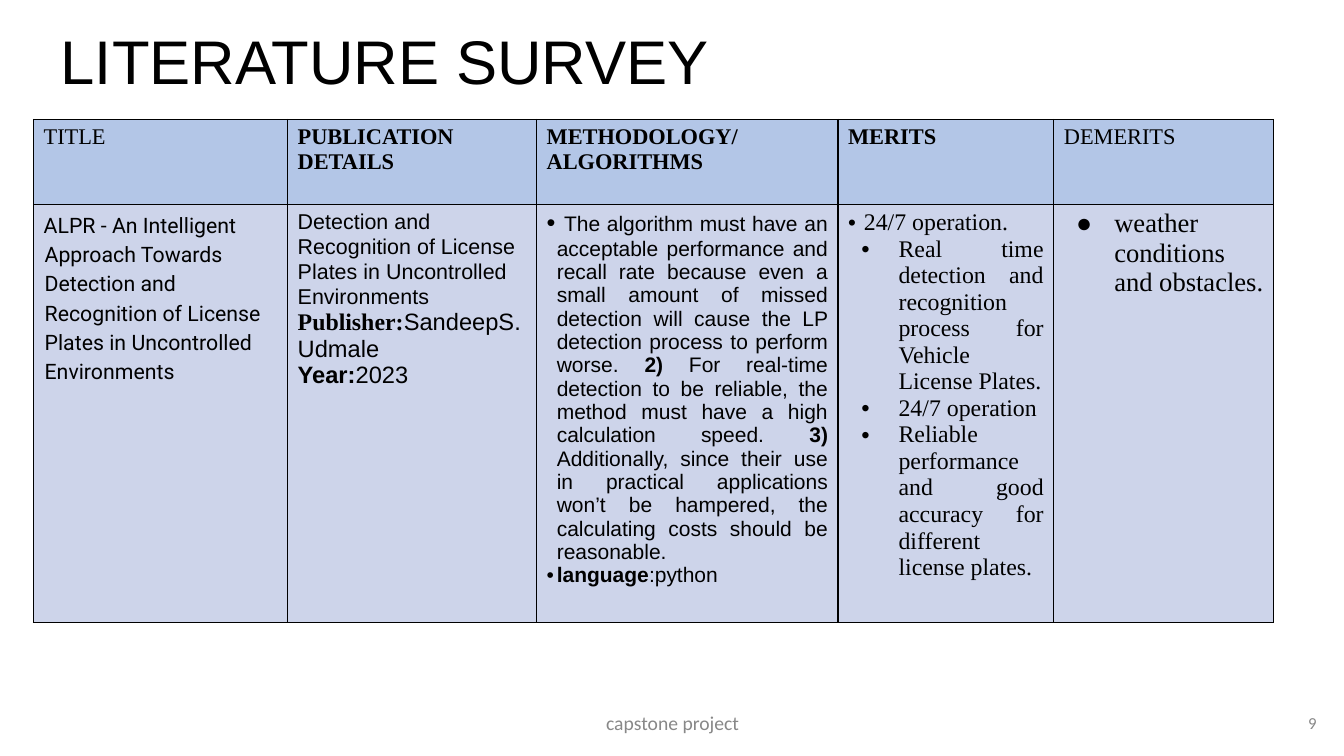
from lxml import etree
from pptx import Presentation, util as u
from pptx.dml.color import RGBColor
from pptx.enum import text as t
from pptx.oxml import ns

WIDTH, HEIGHT = u.Inches(13.33), u.Inches(7.5)
BLACK = RGBColor(0x00, 0x00, 0x00)
GREY = RGBColor(0x88, 0x88, 0x88)
HEADER_BLUE = RGBColor(0xB3, 0xC6, 0xE7)
BODY_BLUE = RGBColor(0xCD, 0xD4, 0xEA)
SERIF, SANS = "Times New Roman", "Arial"
LEFT, CENTER, RIGHT = t.PP_ALIGN.LEFT, t.PP_ALIGN.CENTER, t.PP_ALIGN.RIGHT
JUSTIFY = t.PP_ALIGN.JUSTIFY

COLUMN_INCHES = (2.52, 2.47, 2.99, 2.14, 2.18)
ROW_INCHES = (0.84, 4.15)

# Each header is (lines, bold).
HEADERS = (
    (("TITLE",), False),
    (("PUBLICATION DETAILS",), True),
    (("METHODOLOGY/", "ALGORITHMS"), True),
    (("MERITS",), True),
    (("DEMERITS",), False),
)


def run(words, size, font, bold=False):
    return words, size, font, bold


def line(*runs, align=LEFT, spacing=None, indent=None, bullet=None):
    """Describe one paragraph; indent is (margin, first line) in inches."""
    return {"runs": runs, "align": align, "spacing": spacing,
            "indent": indent, "bullet": bullet}


def bulleted(*runs, indent, bullet="•"):
    return line(*runs, align=JUSTIFY, indent=indent, bullet=bullet)


def body_cells():
    survey_title = [line(
        run("ALPR - An Intelligent Approach Towards Detection and Recognition "
            "of License Plates in Uncontrolled Environments", 15.2, "Roboto"),
        spacing=1.17, indent=(0.01, -0.01))]
    publication = [
        line(run("Detection and Recognition of License Plates in "
                 "Uncontrolled Environments", 15.3, SANS), spacing=1.04),
        line(run("Publisher:", 17, SERIF, True),
             run("SandeepS. Udmale", 16.9, SANS), align=JUSTIFY),
        line(run("Year:", 16.9, SANS, True), run("2023", 16.9, SANS),
             align=JUSTIFY),
    ]
    methodology = [
        bulleted(
            run(" ", 18, SERIF),
            run("The algorithm must have an acceptable performance and recall "
                "rate because even a small amount of missed detection will "
                "cause the LP detection process to perform worse. ", 15, SANS),
            run("2)", 15, SANS, True),
            run(" For real-time detection to be reliable, the method must "
                "have a high calculation speed. ", 15, SANS),
            run("3) ", 15, SANS, True),
            run("Additionally, since their use in practical applications "
                "won’t be hampered, the calculating costs should be "
                "reasonable. ", 15, SANS),
            indent=(0.1, -0.11)),
        bulleted(run("language", 15, SANS, True), run(":python", 15, SANS),
                 indent=(0.1, -0.1)),
    ]
    merits = [bulleted(run(" ", 16, SERIF), run("24/7 operation.", 17, SERIF),
                       indent=(0.1, -0.11))]
    merits += [bulleted(run(merit, 17, SERIF), indent=(0.5, -0.37)) for merit in (
        "Real time detection and recognition process for Vehicle License Plates.",
        "24/7 operation",
        "Reliable performance and good accuracy for different license plates.")]
    demerits = [bulleted(run("weather conditions and obstacles.", 19, SERIF),
                         indent=(0.5, -0.38), bullet="●")]
    return survey_title, publication, methodology, merits, demerits


def set_indent_and_bullet(paragraph, indent, bullet):
    properties = paragraph._p.get_or_add_pPr()
    if indent:
        properties.set("marL", str(u.Inches(indent[0])))
        properties.set("indent", str(u.Inches(indent[1])))
    if bullet:
        color = etree.SubElement(properties, ns.qn("a:buClr"))
        etree.SubElement(color, ns.qn("a:srgbClr"), val=str(BLACK))
        etree.SubElement(properties, ns.qn("a:buFont"), typeface=SANS)
        etree.SubElement(properties, ns.qn("a:buChar"), char=bullet)


def write(frame, lines, color=BLACK):
    for index, item in enumerate(lines):
        paragraph = frame.add_paragraph() if index else frame.paragraphs[0]
        paragraph.alignment = item["align"]
        if item["spacing"]:
            paragraph.line_spacing = item["spacing"]
        set_indent_and_bullet(paragraph, item["indent"], item["bullet"])
        for words, size, font, bold in item["runs"]:
            piece = paragraph.add_run()
            piece.text = words
            piece.font.size = u.Pt(size)
            piece.font.name = font
            piece.font.bold = bold
            piece.font.color.rgb = color


def place(shape, left, top, width, height):
    """Position a shape by shares of the slide's size."""
    shape.left, shape.top = int(WIDTH * left), int(HEIGHT * top)
    shape.width, shape.height = int(WIDTH * width), int(HEIGHT * height)


def add_title(slide):
    title = slide.shapes.title
    place(title, 0.025, 0.024, 0.894, 0.123)
    title.text_frame.vertical_anchor = t.MSO_ANCHOR.MIDDLE
    write(title.text_frame, [line(run(" LITERATURE SURVEY", 44, SANS), spacing=0.9)])


def add_footer(slide, words, size, align, left, width):
    box = slide.shapes.add_textbox(0, 0, 0, 0)
    place(box, left, 0.93, width, 0.053)
    box.text_frame.word_wrap = True
    box.text_frame.vertical_anchor = t.MSO_ANCHOR.MIDDLE
    write(box.text_frame, [line(run(words, size, "Calibri"), align=align)], GREY)


def add_borders(cell):
    properties = cell._tc.get_or_add_tcPr()
    for index, side in enumerate(("lnL", "lnR", "lnT", "lnB")):
        border = etree.Element(ns.qn("a:" + side), w=str(u.Pt(1)))
        fill = etree.SubElement(border, ns.qn("a:solidFill"))
        etree.SubElement(fill, ns.qn("a:srgbClr"), val=str(BLACK))
        properties.insert(index, border)


def add_survey_table(slide):
    headers = [[line(run(words, 16, SERIF, bold)) for words in lines]
               for lines, bold in HEADERS]
    rows = ((headers, HEADER_BLUE), (body_cells(), BODY_BLUE))
    table = slide.shapes.add_table(
        len(rows), len(HEADERS), int(WIDTH * 0.025), int(HEIGHT * 0.158),
        u.Inches(sum(COLUMN_INCHES)), u.Inches(sum(ROW_INCHES))).table
    for column, width in zip(table.columns, COLUMN_INCHES):
        column.width = u.Inches(width)
    for row, height in zip(table.rows, ROW_INCHES):
        row.height = u.Inches(height)
    for row, (contents, color) in zip(table.rows, rows):
        for cell, lines in zip(row.cells, contents):
            cell.fill.solid()
            cell.fill.fore_color.rgb = color
            add_borders(cell)
            write(cell.text_frame, lines)


def main():
    presentation = Presentation()
    presentation.slide_width, presentation.slide_height = WIDTH, HEIGHT
    slide = presentation.slides.add_slide(
        presentation.slide_layouts.get_by_name("Title Only"))
    add_title(slide)
    add_footer(slide, "capstone project", 14, CENTER, 0.223, 0.555)
    add_footer(slide, "9", 12, RIGHT, 0.941, 0.046)
    add_survey_table(slide)
    presentation.save("out.pptx")


if __name__ == "__main__":
    main()
